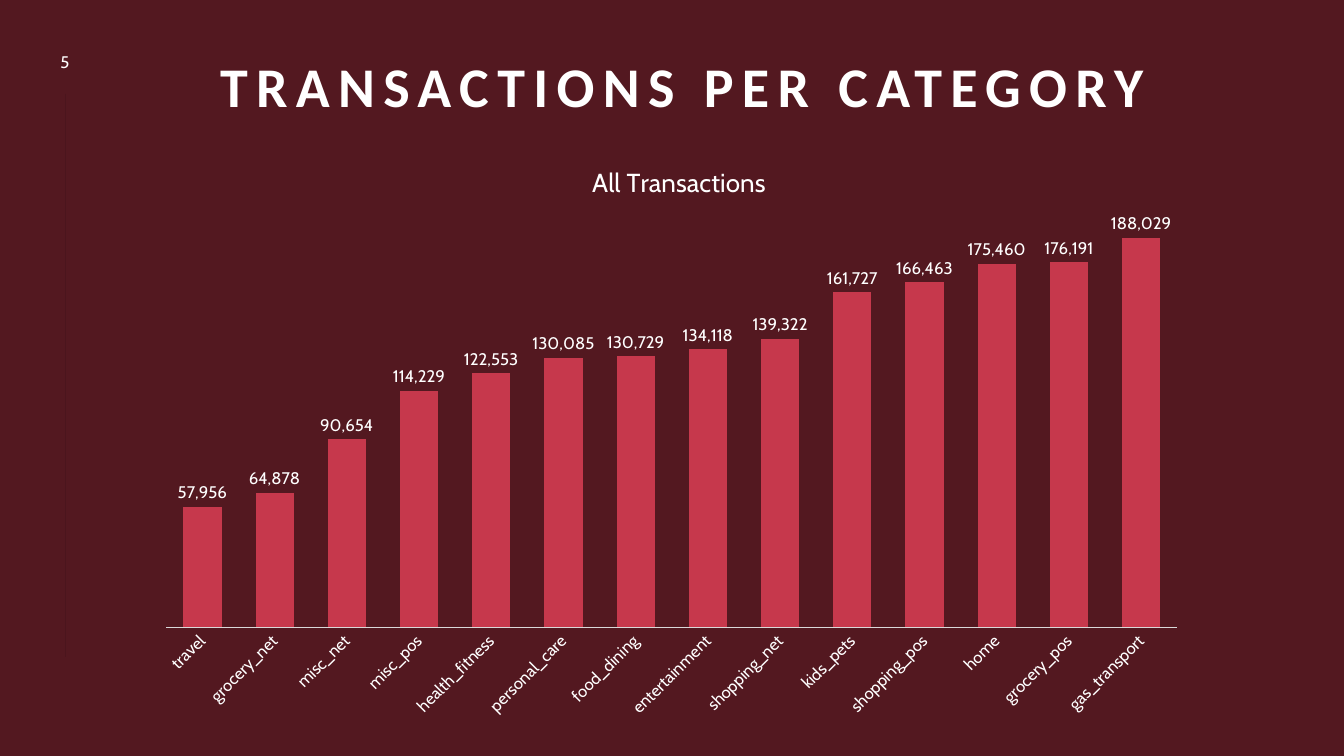
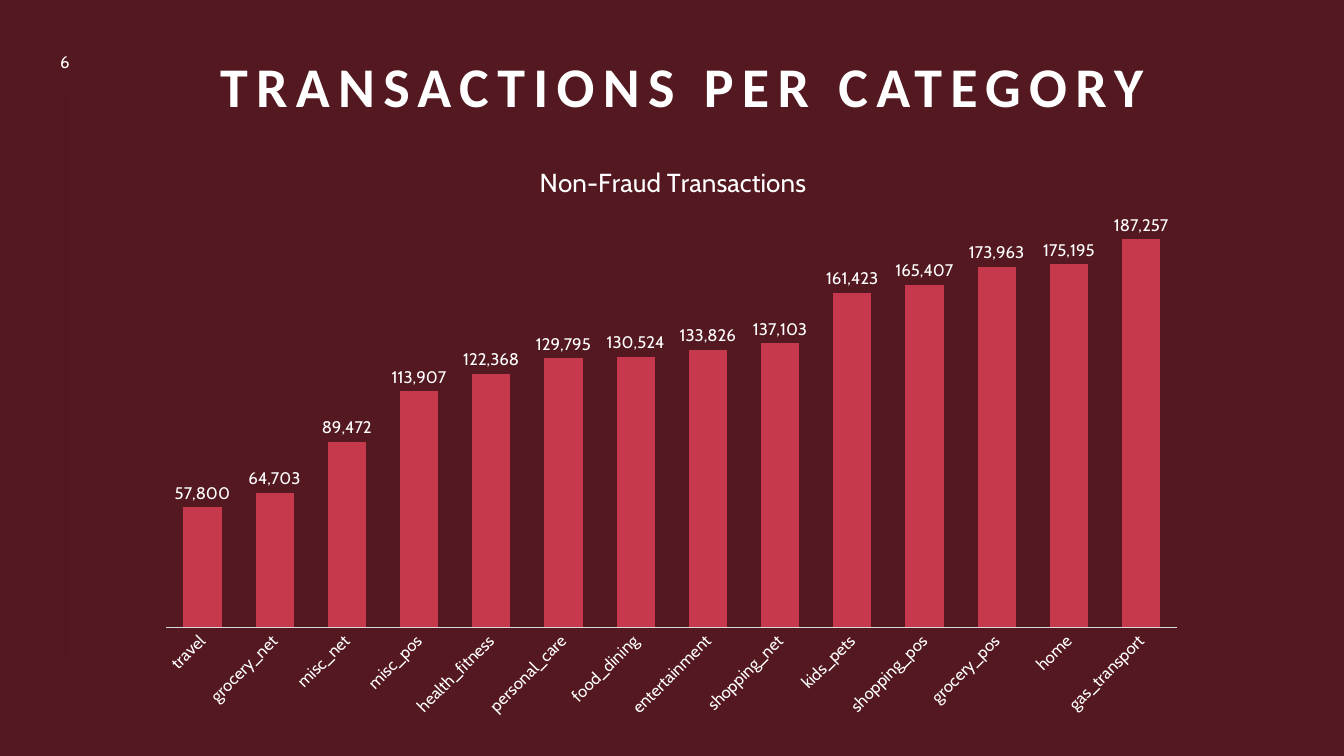
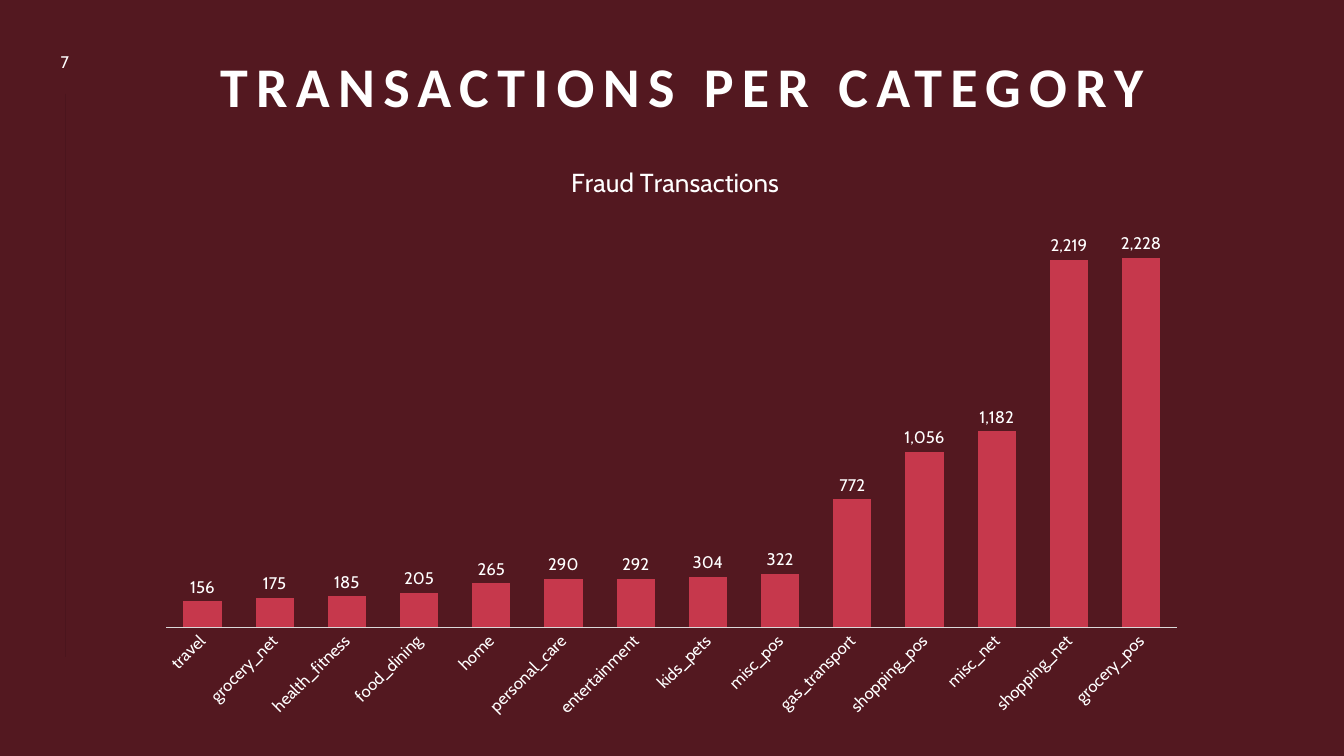
from lxml.etree import SubElement
from pptx import Presentation
from pptx.chart.data import CategoryChartData
from pptx.dml.color import RGBColor
from pptx.enum.chart import XL_CHART_TYPE, XL_LABEL_POSITION, XL_TICK_MARK
from pptx.enum.shapes import MSO_CONNECTOR
from pptx.enum.text import MSO_ANCHOR, MSO_AUTO_SIZE, PP_ALIGN
from pptx.oxml import parse_xml
from pptx.oxml.ns import nsdecls, qn
from pptx.util import Cm, Pt

COLORS = {
    "background": "531820",
    "rule": "4B151D",
    "text": "FFFFFF",
    "column": "C6384C",
    "axis": "D9D9D9",
}
TITLE_FONT = "Calibri"
BODY_FONT = "Cabin"
TITLE = "TRANSACTIONS PER CATEGORY"
FIRST_NUMBER = 5

# Chart title, left edge of that title (share of chart width), axis maximum, values
CHARTS = [
    ("All Transactions", 0.42, 200000, {
        "travel": 57956, "grocery_net": 64878, "misc_net": 90654,
        "misc_pos": 114229, "health_fitness": 122553, "personal_care": 130085,
        "food_dining": 130729, "entertainment": 134118, "shopping_net": 139322,
        "kids_pets": 161727, "shopping_pos": 166463, "home": 175460,
        "grocery_pos": 176191, "gas_transport": 188029}),
    ("Non-Fraud Transactions", 0.37, 200000, {
        "travel": 57800, "grocery_net": 64703, "misc_net": 89472,
        "misc_pos": 113907, "health_fitness": 122368, "personal_care": 129795,
        "food_dining": 130524, "entertainment": 133826, "shopping_net": 137103,
        "kids_pets": 161423, "shopping_pos": 165407, "grocery_pos": 173963,
        "home": 175195, "gas_transport": 187257}),
    ("Fraud Transactions", 0.4, 2500, {
        "travel": 156, "grocery_net": 175, "health_fitness": 185,
        "food_dining": 205, "home": 265, "personal_care": 290,
        "entertainment": 292, "kids_pets": 304, "misc_pos": 322,
        "gas_transport": 772, "shopping_pos": 1056, "misc_net": 1182,
        "shopping_net": 2219, "grocery_pos": 2228}),
]


def color(name):
    return RGBColor.from_string(COLORS[name])


def place(parent, index, **shares):
    """Fix a chart part's position, in shares of the chart's width and height."""
    for old in parent.findall(qn("c:layout")):
        parent.remove(old)
    layout = parse_xml(f"<c:layout {nsdecls('c')}><c:manualLayout/></c:layout>")
    manual = layout[0]
    if "w" in shares:
        SubElement(manual, qn("c:layoutTarget")).set("val", "inner")
    for side in ("x", "y"):
        SubElement(manual, qn(f"c:{side}Mode")).set("val", "edge")
    for side, share in shares.items():
        SubElement(manual, qn(f"c:{side}")).set("val", str(share))
    parent.insert(index, layout)


class Report:
    def __init__(self):
        self.deck = Presentation()
        self.deck.slide_width, self.deck.slide_height = Cm(33.87), Cm(19.05)
        fill = self.deck.slide_master.background.fill
        fill.solid()
        fill.fore_color.rgb = color("background")
        self.page = None

    def style(self, font, size, name=BODY_FONT, bold=False):
        font.size, font.name, font.bold = Pt(size), name, bold
        font.color.rgb = color("text")

    def set_text(self, frame, text, anchor, size, **font):
        frame.word_wrap = True
        frame.auto_size = MSO_AUTO_SIZE.NONE
        frame.vertical_anchor = anchor
        para = frame.paragraphs[0]
        para.alignment = PP_ALIGN.CENTER
        span = para.add_run()
        span.text = text
        self.style(span.font, size, **font)
        return para, span

    def add_page(self, title, number):
        self.page = self.deck.slides.add_slide(self.deck.slide_layouts[5])
        self.add_rule()
        self.add_title(title)
        self.add_number(number)

    def add_rule(self):
        rule = self.page.shapes.add_connector(
            MSO_CONNECTOR.STRAIGHT, Cm(1.65), Cm(2.36), Cm(1.65), Cm(16.56))
        rule.line.color.rgb = color("rule")
        rule.line.width = Pt(0.5)
        SubElement(rule.element.spPr, qn("a:effectLst"))

    def add_title(self, text):
        box = self.page.shapes.title
        box.left, box.top, box.width, box.height = Cm(2.08), Cm(0.18), Cm(30.23), Cm(2.97)
        para, span = self.set_text(box.text_frame, text, MSO_ANCHOR.BOTTOM, 40,
                                   name=TITLE_FONT, bold=True)
        para.line_spacing = 0.9
        span.font._element.set("spc", "600")

    def add_number(self, number):
        box = self.page.shapes.add_textbox(Cm(0.91), Cm(1.14), Cm(1.45), Cm(0.86))
        self.set_text(box.text_frame, str(number), MSO_ANCHOR.MIDDLE, 12)

    def add_columns(self, title, title_left, maximum, values):
        data = CategoryChartData(number_format="#,##0")
        data.categories = list(values)
        data.add_series("Series 1", list(values.values()))
        chart = self.page.shapes.add_chart(
            XL_CHART_TYPE.COLUMN_CLUSTERED, Cm(3.66), Cm(3.43), Cm(26.54), Cm(14.91), data).chart
        chart.has_legend = False
        self.style(chart.font, 10)

        chart.has_title = True
        span = chart.chart_title.text_frame.paragraphs[0].add_run()
        span.text = title
        self.style(span.font, 18.6)
        place(chart.element.xpath("c:chart/c:title")[0], 1, x=title_left, y=0.04)
        place(chart.element.xpath("c:chart/c:plotArea")[0], 0, x=0.02, y=0.13, w=0.96, h=0.7)

        plot = chart.plots[0]
        plot.gap_width, plot.overlap = 89, -25
        plot.vary_by_categories = False
        fill = plot.series[0].format.fill
        fill.solid()
        fill.fore_color.rgb = color("column")
        plot.has_data_labels = True
        labels = plot.data_labels
        labels.show_value = True
        labels.position = XL_LABEL_POSITION.OUTSIDE_END
        labels.number_format, labels.number_format_is_linked = "#,##0", False
        self.style(labels.font, 12)

        names = chart.category_axis
        names.major_tick_mark = names.minor_tick_mark = XL_TICK_MARK.NONE
        names.format.line.color.rgb = color("axis")
        names.format.line.width = Pt(0.75)
        self.style(names.tick_labels.font, 12)
        chart.element.xpath("//c:catAx/c:txPr/a:bodyPr")[0].set("rot", "-2700000")

        scale = chart.value_axis
        scale.minimum_scale, scale.maximum_scale = 0, maximum
        scale.has_major_gridlines = False
        scale.visible = False


def main():
    report = Report()
    for number, chart in enumerate(CHARTS, FIRST_NUMBER):
        report.add_page(TITLE, number)
        report.add_columns(*chart)
    report.deck.save("out.pptx")


if __name__ == "__main__":
    main()
